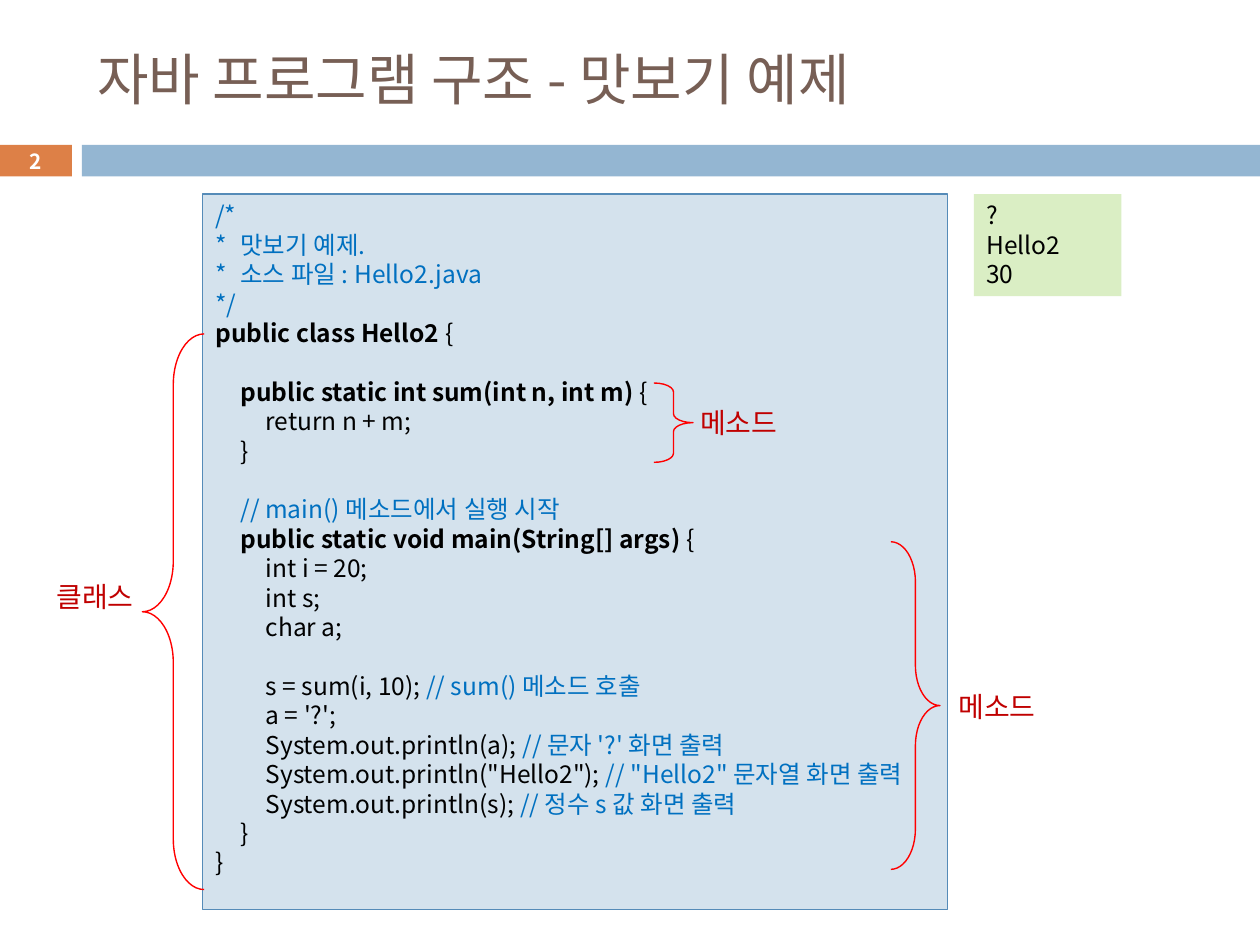
from lxml import etree
from pptx import Presentation
from pptx.dml.color import RGBColor
from pptx.enum.shapes import MSO_SHAPE
from pptx.enum.text import MSO_ANCHOR, PP_ALIGN
from pptx.oxml.ns import qn
from pptx.util import Inches, Pt

RECT, BRACE = MSO_SHAPE.RECTANGLE, MSO_SHAPE.RIGHT_BRACE
TOP, MIDDLE = MSO_ANCHOR.TOP, MSO_ANCHOR.MIDDLE
LEFT, CENTER = PP_ALIGN.LEFT, PP_ALIGN.CENTER
FONT = "Noto Sans CJK KR"
BLACK, BLUE, RED = "000000", "0070C0", "C00000"

prs = Presentation()
prs.slide_width, prs.slide_height = Inches(10), Inches(7.5)
CELL = prs.slide_width / 100  # grid of 100 columns by 75 rows
slide = prs.slides.add_slide(prs.slide_layouts[5])


def add_shape(kind, box, fill=None, line=None, weight=0.75):
    s = slide.shapes.add_shape(kind, *[round(n * CELL) for n in box])
    s.shadow.inherit = False
    if fill:
        s.fill.solid()
        s.fill.fore_color.rgb = RGBColor.from_string(fill)
    else:
        s.fill.background()
    if line:
        s.line.color.rgb = RGBColor.from_string(line)
        s.line.width = Pt(weight)
    else:
        s.line.fill.background()
    return s


def write(s, lines, size, align=LEFT, anchor=TOP):
    """Each line is a list of (text, colour, bold) runs."""
    tf = s.text_frame
    tf.word_wrap = True
    tf.vertical_anchor = anchor
    for i, runs in enumerate(lines):
        p = tf.paragraphs[0] if i == 0 else tf.add_paragraph()
        p.alignment = align
        p.line_spacing = Pt(size * 1.2)
        p.font.size = Pt(size)
        for text, color, bold in runs:
            r = p.add_run()
            r.text = text
            r.font.name, r.font.size, r.font.bold = FONT, Pt(size), bold
            r.font.color.rgb = RGBColor.from_string(color)
            etree.SubElement(r.font._element, qn("a:ea"), typeface=FONT)


# Title
title = slide.shapes.title
title.left, title.top, title.width, title.height = [
    round(n * CELL) for n in (6.7, 2.5, 89.2, 7.4)]
write(title, [[("자바 프로그램 구조 - 맛보기 예제", "775F55", False)]], 32, anchor=MIDDLE)

# Header band with the page number
add_shape(RECT, (6.5, 11.5, 93.5, 2.5), "94B6D2")
number = add_shape(RECT, (-0.1, 11.5, 5.8, 2.5), "DD8047")
write(number, [[("2", "FFFFFF", True)]], 11.9, CENTER, MIDDLE)

# Code listing: comments blue, declarations bold
CODE = """/*
*\t맛보기 예제.
*\t소스 파일 : Hello2.java
*/
public class Hello2 {
\t
\tpublic static int sum(int n, int m) {
\t\treturn n + m;
\t}
\t
\t// main() 메소드에서 실행 시작
\tpublic static void main(String[] args) {
\t\tint i = 20;
\t\tint s;
\t\tchar a;

\t\ts = sum(i, 10); // sum() 메소드 호출
\t\ta = '?';
\t\tSystem.out.println(a); // 문자 '?' 화면 출력
\t\tSystem.out.println("Hello2"); // "Hello2" 문자열 화면 출력
\t\tSystem.out.println(s); // 정수 s 값 화면 출력
\t}
}"""
lines = []
for text in CODE.split("\n"):
    code, mark, comment = text.partition("//")
    if text.startswith(("/*", "*")):
        runs = [(text, BLUE, False)]
    elif text.strip().startswith("public"):
        runs = [(text[:-1], BLACK, True), (text[-1], BLACK, False)]
    else:
        runs = [(code, BLACK, False), (mark + comment, BLUE, False)]
    lines.append([run for run in runs if run[0]])

listing = add_shape(RECT, (16.1, 15.4, 59.1, 56.8), "D4E2ED", "558BB8")
write(listing, lines, 14)
for p in listing.text_frame.paragraphs:
    tabs = etree.Element(qn("a:tabLst"))
    for stop in (0.2, 0.4):
        etree.SubElement(tabs, qn("a:tab"), pos=str(Inches(stop)), algn="l")
    p.font._element.addprevious(tabs)

# Program output
output = add_shape(RECT, (77.3, 15.4, 11.7, 8.1), "DAEEC4")
write(output, [[(text, BLACK, False)] for text in ("?", "Hello2", "30")], 14)

# Braces and their labels
for box, curl, turn, label, x, y in (
        ((51.9, 30.4, 3.1, 6.3), 0.23, 0, "메소드", 54.6, 31.7),
        ((70.7, 43, 3.9, 26), 0.82, 0, "메소드", 75.1, 54.2),
        ((11.3, 26.5, 4.9, 44.1), 0.82, 180, "클래스", 3.5, 45.5)):
    brace = add_shape(BRACE, box, line="FF0000", weight=0.79)
    brace.adjustments[0] = curl
    brace.rotation = turn
    tag = slide.shapes.add_textbox(*[round(n * CELL) for n in (x, y, 9.2, 3.7)])
    write(tag, [[(label, RED, False)]], 16)

prs.save("out.pptx")
